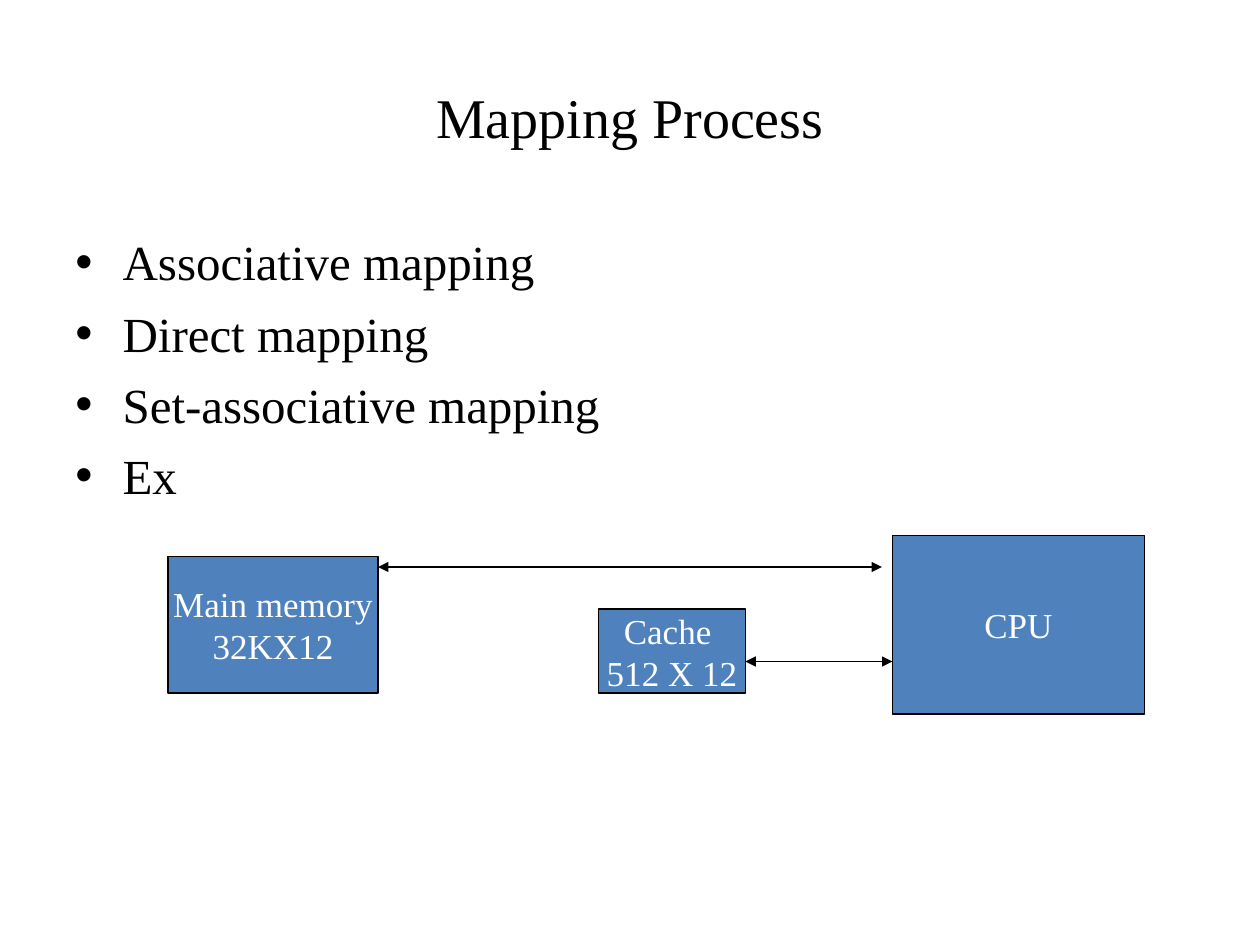
from lxml.etree import SubElement
from pptx import Presentation
from pptx.dml.color import RGBColor
from pptx.enum.shapes import MSO_CONNECTOR, MSO_SHAPE
from pptx.enum.text import MSO_ANCHOR, PP_ALIGN
from pptx.oxml.ns import qn
from pptx.util import Emu, Pt

PX = 7620  # 120 px to the inch
FONT = "Times New Roman"
BLACK, WHITE, BLUE = "000000", "FFFFFF", "4F81BD"


def px(*lengths):
    return [Emu(length * PX) for length in lengths]


def color(value):
    return RGBColor.from_string(value)


def style(para, size, value):
    for span in para.runs:
        span.font.name = FONT
        span.font.size = Pt(size)
        span.font.color.rgb = color(value)


def add_title(page, left, top, width, height, text):
    title = page.shapes.title
    title.left, title.top, title.width, title.height = px(left, top, width, height)
    frame = title.text_frame
    frame.text = text
    frame.vertical_anchor = MSO_ANCHOR.MIDDLE
    frame.paragraphs[0].alignment = PP_ALIGN.CENTER
    style(frame.paragraphs[0], 32, BLACK)


def add_bullets(page, left, top, width, height, items):
    frame = page.shapes.add_textbox(*px(left, top, width, height)).text_frame
    frame.word_wrap = True
    frame.text = "\n".join(items)
    indent = 45 * PX
    for number, para in enumerate(frame.paragraphs):
        properties = para._p.get_or_add_pPr()
        properties.set("marL", str(indent))
        properties.set("indent", str(-indent))
        SubElement(properties, qn("a:buFont")).set("typeface", "Arial")
        SubElement(properties, qn("a:buChar")).set("char", "•")
        if number:
            para.space_before = Pt(7)
        style(para, 28, BLACK)


def add_block(page, left, top, width, height, text):
    box = page.shapes.add_shape(MSO_SHAPE.RECTANGLE, *px(left, top, width, height))
    box.shadow.inherit = False
    box.fill.solid()
    box.fill.fore_color.rgb = color(BLUE)
    box.line.color.rgb = color(BLACK)
    box.line.width = Pt(0.75)
    frame = box.text_frame
    frame.word_wrap = False
    frame.vertical_anchor = MSO_ANCHOR.MIDDLE
    frame.text = text
    for para in frame.paragraphs:
        para.alignment = PP_ALIGN.CENTER
        style(para, 20, WHITE)


def add_double_arrow(page, start, end, y):
    arrow = page.shapes.add_connector(MSO_CONNECTOR.STRAIGHT, *px(start, y, end, y))
    arrow.line.color.rgb = color(BLACK)
    arrow.line.width = Pt(0.75)
    line = arrow.line._get_or_add_ln()
    for tag in ("a:headEnd", "a:tailEnd"):
        SubElement(line, qn(tag)).set("type", "triangle")
    SubElement(arrow._element.spPr, qn("a:effectLst"))


def add_memory_diagram(page, left, top):
    # Memory, cache and processor
    add_block(page, left, top + 20, 200, 130, "Main memory\n32KX12")
    add_block(page, left + 410, top + 70, 140, 80, "Cache \n512 X 12")
    add_block(page, left + 690, top, 240, 170, "CPU")
    # Data paths to the processor
    add_double_arrow(page, left + 550, left + 690, top + 120)
    add_double_arrow(page, left + 200, left + 680, top + 30)


def main():
    deck = Presentation()
    deck.slide_width, deck.slide_height = px(1200, 900)
    page = deck.slides.add_slide(deck.slide_layouts.get_by_name("Title Only"))
    add_title(page, 60, 36, 1080, 150, "Mapping Process")
    add_bullets(page, 60, 215, 1080, 589, [
        "Associative mapping", "Direct mapping", "Set-associative mapping", "Ex"])
    add_memory_diagram(page, 160, 510)
    deck.save("out.pptx")


if __name__ == "__main__":
    main()
